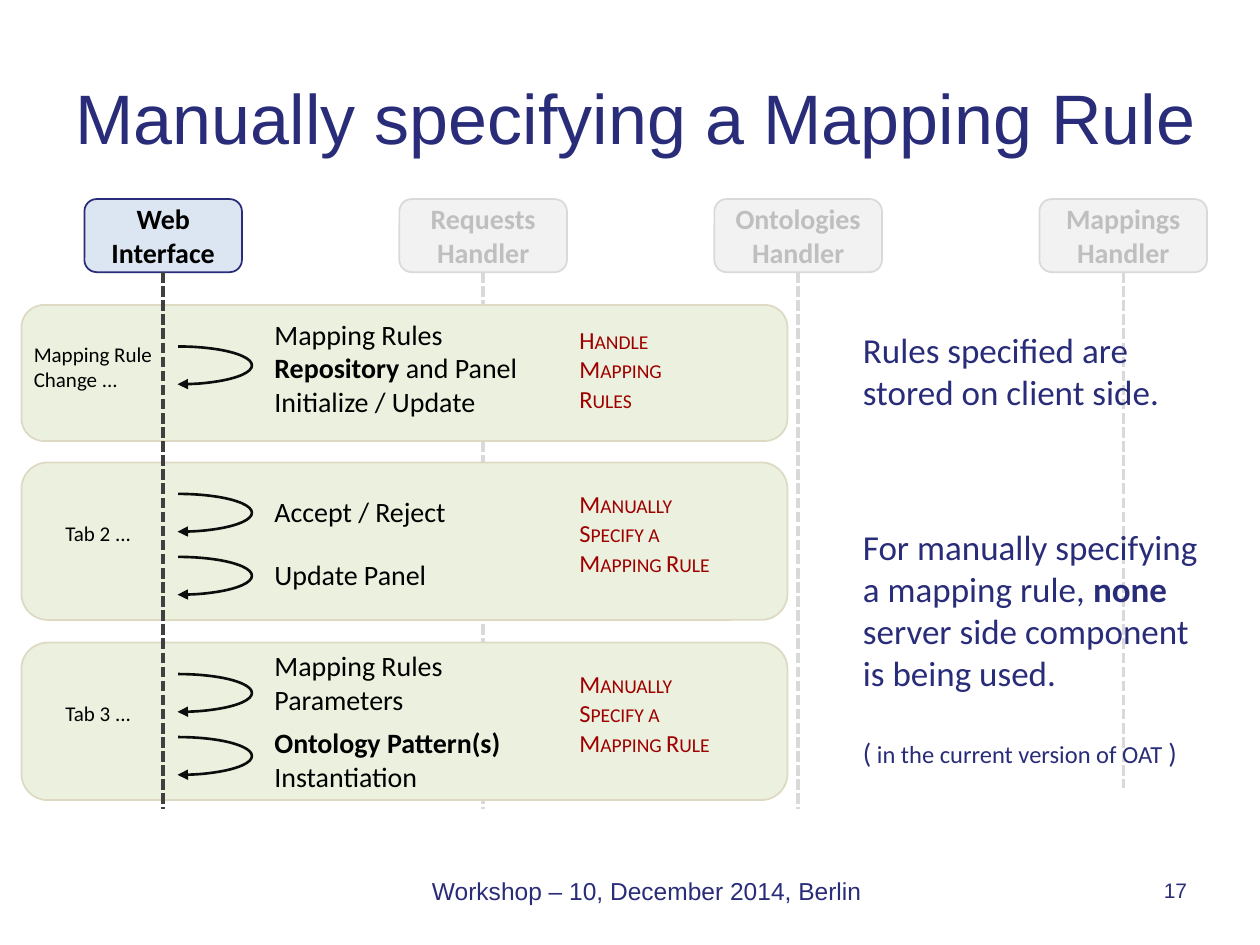
from dataclasses import dataclass

from lxml import etree
from pptx import Presentation
from pptx.dml.color import RGBColor
from pptx.enum.dml import MSO_LINE
from pptx.enum.shapes import MSO_CONNECTOR, MSO_SHAPE
from pptx.enum.text import MSO_ANCHOR, MSO_AUTO_SIZE, PP_ALIGN
from pptx.oxml.ns import qn
from pptx.util import Inches, Pt

LEFT, CENTER, RIGHT = PP_ALIGN.LEFT, PP_ALIGN.CENTER, PP_ALIGN.RIGHT
TOP, MIDDLE = MSO_ANCHOR.TOP, MSO_ANCHOR.MIDDLE
ROUNDED, ARC = MSO_SHAPE.ROUNDED_RECTANGLE, MSO_SHAPE.ARC
STRAIGHT, DASH = MSO_CONNECTOR.STRAIGHT, MSO_LINE.SQUARE_DOT
TITLE_ONLY, BOTTOM_SITE = 5, 2


@dataclass(frozen=True)
class Theme:
    heading_font: str = "Arial"
    body_font: str = "Calibri"
    navy: str = "292C78"
    black: str = "000000"
    red: str = "9E0000"
    active_fill: str = "DCE6F2"
    active_lifeline: str = "404040"
    idle_fill: str = "F2F2F2"
    idle_line: str = "D9D9D9"
    idle_text: str = "BFBFBF"
    panel_fill: str = "EBF1DE"
    panel_line: str = "DDD9C3"
    arrow: str = "0D0D0D"
    title_size: int = 40
    remark_size: int = 20
    step_size: int = 16
    goal_size: int = 14
    label_size: int = 12


THEME = Theme()


def color(code):
    return RGBColor.from_string(code)


def write_text(frame, paragraphs, size, ink, font=THEME.body_font, bold=False,
               align=LEFT, small_caps=False, gap=0):
    """Fill a frame; a paragraph is a string or a list of (text, bold, size) spans."""
    for index, content in enumerate(paragraphs):
        para = frame.add_paragraph() if index else frame.paragraphs[0]
        para.alignment = align
        para.space_before = Pt(gap if index else 0)
        spans = [(content, bold, size)] if isinstance(content, str) else content
        for text, span_bold, span_size in spans:
            span = para.add_run()
            span.text = text
            span.font.name = font
            span.font.size = Pt(span_size)
            span.font.bold = span_bold
            span.font.color.rgb = color(ink)
            if small_caps:
                span.font._element.set("cap", "small")


class SlideBuilder:
    def __init__(self, page, theme):
        self.page = page
        self.theme = theme

    def title(self, text, left, top, width, height):
        box = self.page.shapes.title
        box.left, box.top = Inches(left), Inches(top)
        box.width, box.height = Inches(width), Inches(height)
        frame = box.text_frame
        frame.auto_size = MSO_AUTO_SIZE.NONE
        frame.vertical_anchor = MIDDLE
        write_text(frame, [text], self.theme.title_size, self.theme.navy,
                   self.theme.heading_font)

    def text(self, paragraphs, left, top, width, height, anchor=TOP, **style):
        box = self.page.shapes.add_textbox(
            Inches(left), Inches(top), Inches(width), Inches(height))
        frame = box.text_frame
        frame.word_wrap = True
        frame.vertical_anchor = anchor
        write_text(frame, paragraphs, **style)

    def rounded(self, left, top, width, height, fill, line):
        box = self.page.shapes.add_shape(
            ROUNDED, Inches(left), Inches(top), Inches(width), Inches(height))
        box.shadow.inherit = False
        box.fill.solid()
        box.fill.fore_color.rgb = color(fill)
        box.line.color.rgb = color(line)
        box.line.width = Pt(1)
        return box

    def component(self, paragraphs, left, width, fill, line, ink):
        box = self.rounded(left, 1.58, width, 0.58, fill, line)
        frame = box.text_frame
        frame.word_wrap = True
        frame.vertical_anchor = MIDDLE
        frame.margin_left = frame.margin_right = 0
        write_text(frame, paragraphs, self.theme.step_size, ink,
                   bold=True, align=CENTER)
        return box

    def lifeline(self, component, bottom, ink):
        middle = component.left + component.width // 2
        line = self.page.shapes.add_connector(
            STRAIGHT, middle, component.top + component.height,
            middle, Inches(bottom))
        line.begin_connect(component, BOTTOM_SITE)
        line.line.color.rgb = color(ink)
        line.line.width = Pt(2)
        line.line.dash_style = DASH
        etree.SubElement(line._element.spPr, qn("a:effectLst"))

    def self_call(self, top):
        """Draw the half-loop arrow that returns to the active lifeline."""
        arc = self.page.shapes.add_shape(
            ARC, Inches(0.83), Inches(top), Inches(1.17), Inches(0.3))
        # Angles in units of 100000/60000 degree: from the top round to the bottom.
        arc.adjustments[0], arc.adjustments[1] = 162, 55.243
        arc.shadow.inherit = False
        arc.fill.background()
        arc.line.color.rgb = color(self.theme.arrow)
        arc.line.width = Pt(1.5)
        etree.SubElement(arc.line._get_or_add_ln(), qn("a:tailEnd"), type="triangle")

    def panel(self, top, height, label, goal, calls, steps):
        """Draw one phase; offsets of its contents count from the panel's top."""
        theme = self.theme
        self.rounded(0.17, top, 6.08, height, theme.panel_fill, theme.panel_line)
        label_left, label_offset, label_lines = label
        self.text(label_lines, label_left, top + label_offset, 1.33, 0.3,
                  size=theme.label_size, ink=theme.black)
        goal_offset, goal_lines = goal
        self.text(goal_lines, 4.5, top + goal_offset, 1.42, 0.81,
                  size=theme.goal_size, ink=theme.red, small_caps=True)
        for offset in calls:
            self.self_call(top + offset)
        for offset, step_height, lines in steps:
            self.text(lines, 2.08, top + offset, 2.25, step_height,
                      size=theme.step_size, ink=theme.black)


def main():
    deck = Presentation()
    deck.slide_width, deck.slide_height = Inches(10), Inches(7.5)
    page = deck.slides.add_slide(deck.slide_layouts[TITLE_ONLY])
    builder = SlideBuilder(page, THEME)
    builder.title("Manually specifying a Mapping Rule", 0.5, 0.3, 9.5, 1.25)

    web = builder.component(["Web Interface"], 0.67, 1.25, THEME.active_fill,
                            THEME.navy, THEME.black)
    for name, left, bottom in [("Requests", 3.17, 6.42), ("Ontologies", 5.67, 6.42),
                               ("Mappings", 8.25, 6.25)]:
        handler = builder.component([name, "Handler"], left, 1.33, THEME.idle_fill,
                                    THEME.idle_line, THEME.idle_text)
        builder.lifeline(handler, bottom, THEME.idle_line)

    size = THEME.step_size
    specify = (0.16, ["Manually", "Specify a", "Mapping Rule"])
    builder.panel(
        2.42, 1.08, (0.17, 0.24, ["Mapping Rule", "Change ..."]),
        (0.11, ["Handle", "Mapping", "Rules"]), [0.33],
        [(0.05, 0.91, [[("Mapping Rules ", False, size), ("Repository", True, size),
                        (" and Panel Initialize / Update", False, size)]])])
    builder.panel(
        3.67, 1.25, (0.42, 0.41, ["Tab 2 ..."]), specify, [0.25, 0.75],
        [(0.21, 0.37, ["Accept / Reject"]), (0.71, 0.37, ["Update Panel"])])
    builder.panel(
        5.1, 1.25, (0.42, 0.41, ["Tab 3 ..."]), specify, [0.25, 0.75],
        [(0, 0.64, ["Mapping Rules", "Parameters"]),
         (0.61, 0.64, [[("Ontology Pattern(s)", True, size)], "Instantiation"])])
    builder.lifeline(web, 6.42, THEME.active_lifeline)

    remark = {"size": THEME.remark_size, "ink": THEME.navy}
    builder.text(["Rules specified are stored on client side."],
                 6.75, 2.56, 2.92, 0.77, **remark)
    builder.text(
        [[("For manually specifying a mapping rule, ", False, THEME.remark_size),
          ("none", True, THEME.remark_size),
          (" server side component is being used.", False, THEME.remark_size)],
         [("(", False, size),
          (" in the current version of OAT ", False, THEME.goal_size),
          (")", False, size)]],
        6.75, 4.12, 2.92, 2.05, gap=24, **remark)

    footer = {"ink": THEME.navy, "font": THEME.heading_font, "anchor": MIDDLE}
    builder.text(["Workshop – 10, December 2014, Berlin"], 3.33, 6.92, 4.17, 0.29,
                 size=THEME.goal_size, **footer)
    builder.text(["17"], 8.92, 6.85, 0.6, 0.43, size=THEME.label_size,
                 align=RIGHT, **footer)
    deck.save("out.pptx")


if __name__ == "__main__":
    main()
